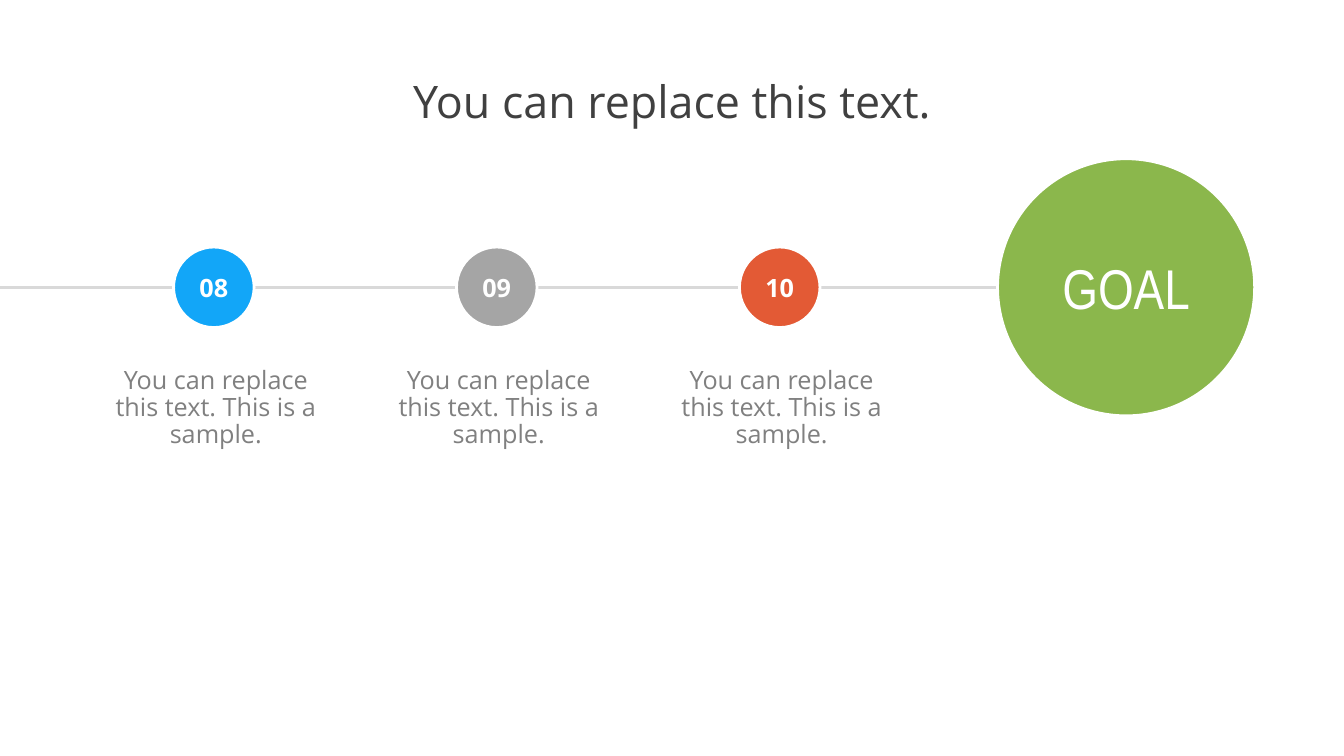
from lxml import etree
from pptx import Presentation
from pptx import util as u
from pptx.dml.color import RGBColor
from pptx.enum import shapes, text
from pptx.oxml.ns import qn

WHITE = RGBColor(0xFF, 0xFF, 0xFF)
TRACK = RGBColor(0xD9, 0xD9, 0xD9)
BLUE = RGBColor(0x12, 0xA6, 0xF8)
GRAY = RGBColor(0xA5, 0xA5, 0xA5)
ORANGE = RGBColor(0xE3, 0x5A, 0x35)
GREEN = RGBColor(0x8B, 0xB7, 0x4C)
TITLE = RGBColor(0x40, 0x40, 0x40)
CAPTION = RGBColor(0x80, 0x80, 0x80)

AXIS = 7.24
FIRST, STEP = 5.39, 7.13
STEPS = [("08", BLUE), ("09", GRAY), ("10", ORANGE)]


def add_run(tf, words, size, color, font="Open Sans", bold=False):
    """Put one centred run in the first paragraph of a text frame."""
    p = tf.paragraphs[0]
    p.alignment = text.PP_ALIGN.CENTER
    r = p.add_run()
    r.text = words
    r.font.name = font
    r.font.size = u.Pt(size)
    r.font.bold = bold
    r.font.color.rgb = color
    return p


def add_track(s, x1, x2):
    """Draw the horizontal timeline."""
    line = s.shapes.add_connector(shapes.MSO_CONNECTOR.STRAIGHT,
                                  u.Cm(x1), u.Cm(AXIS), u.Cm(x2), u.Cm(AXIS))
    line.line.color.rgb = TRACK
    line.line.width = u.Pt(2.25)
    etree.SubElement(line._element.spPr, qn("a:effectLst"))


def add_circle(s, center, size, fill, words, points, **font):
    """Draw a labelled circle centred on the timeline."""
    sp = s.shapes.add_shape(shapes.MSO_SHAPE.OVAL, u.Cm(center - size / 2),
                            u.Cm(AXIS - size / 2), u.Cm(size), u.Cm(size))
    sp.shadow.inherit = False
    sp.fill.solid()
    sp.fill.fore_color.rgb = fill
    sp.line.color.rgb = WHITE
    sp.line.width = u.Pt(2)
    tf = sp.text_frame
    tf.vertical_anchor = text.MSO_ANCHOR.MIDDLE
    add_run(tf, words, points, WHITE, **font)


def add_text(s, center, top, width, height, words, points, color):
    """Add a centred, wrapping text box that grows with its text."""
    sp = s.shapes.add_textbox(u.Cm(center - width / 2), u.Cm(top),
                              u.Cm(width), u.Cm(height))
    tf = sp.text_frame
    tf.word_wrap = True
    tf.auto_size = text.MSO_AUTO_SIZE.SHAPE_TO_FIT_TEXT
    add_run(tf, words, points, color).line_spacing = 0.9


def main():
    """Build the timeline slide and save it."""
    prs = Presentation()
    prs.slide_width, prs.slide_height = u.Cm(33.87), u.Cm(19.05)
    s = prs.slides.add_slide(prs.slide_layouts[6])
    add_track(s, -0.05, 26.8)
    for i, (number, color) in enumerate(STEPS):
        center = FIRST + i * STEP
        add_circle(s, center, 2.03, color, number, 18, bold=True)
        add_text(s, center + 0.05, 9.14, 5.6, 2.57,
                 "You can replace this text. This is a sample.", 18, CAPTION)
    add_circle(s, 28.38, 6.48, GREEN, "GOAL", 40, font="Arial Narrow")
    add_text(s, 16.94, 1.88, 16.97, 1.63, "You can replace this text.", 32, TITLE)
    prs.save("out.pptx")


main()
